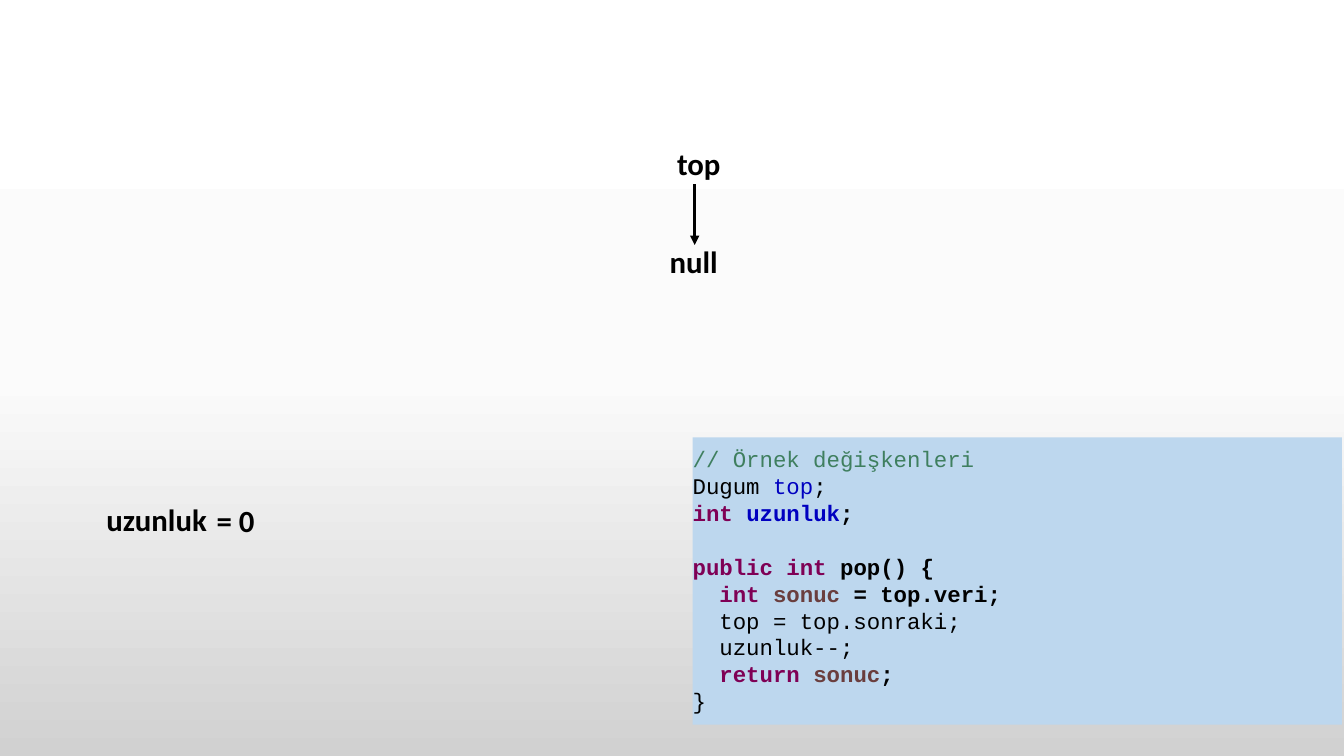
from copy import deepcopy
from dataclasses import dataclass

from lxml.etree import SubElement
from pptx import Presentation
from pptx.dml.color import RGBColor
from pptx.enum.shapes import MSO_CONNECTOR, MSO_SHAPE
from pptx.enum.text import MSO_ANCHOR, MSO_AUTO_SIZE, PP_ALIGN
from pptx.oxml.ns import qn
from pptx.util import Inches, Pt


@dataclass(frozen=True)
class Theme:
    label_font: str = "Calibri"
    code_font: str = "Courier New"
    label_size: int = 22
    code_size: int = 16
    arrow_width: float = 2.25
    black: str = "000000"
    comment: str = "3F7F5F"
    keyword: str = "7F0055"
    field: str = "0000C0"
    local: str = "6A3E3E"
    code_fill: str = "BDD7EE"
    background: tuple = ((0, "FFFFFF"), (0.5, "FBFBFB"), (1, "D1D1D1"))


class StackSlide:
    def __init__(self, page, theme):
        self.page = page
        self.theme = theme

    def background(self):
        fill = self.page.background.fill
        fill.gradient()
        fill.gradient_angle = 270
        stop_list = self.page._element.find(".//" + qn("a:gsLst"))
        stop_list.append(deepcopy(stop_list[-1]))
        for stop, (position, color) in zip(fill.gradient_stops, self.theme.background):
            stop.position = position
            stop.color.rgb = RGBColor.from_string(color)

    def style(self, span, font, size, color, bold):
        span.font.name = font
        span.font.size = Pt(size)
        span.font.bold = bold
        span.font.color.rgb = RGBColor.from_string(color)

    def label(self, text, left, top, width, align=PP_ALIGN.CENTER):
        box = self.page.shapes.add_textbox(
            Inches(left), Inches(top), Inches(width), Inches(0.47))
        frame = box.text_frame
        frame.word_wrap = False
        frame.auto_size = MSO_AUTO_SIZE.SHAPE_TO_FIT_TEXT
        frame.text = text
        para = frame.paragraphs[0]
        para.alignment = align
        self.style(para.runs[0], self.theme.label_font, self.theme.label_size,
                   self.theme.black, True)

    def down_arrow(self, x, top, bottom):
        arrow = self.page.shapes.add_connector(
            MSO_CONNECTOR.STRAIGHT, Inches(x), Inches(top), Inches(x), Inches(bottom))
        arrow.line.color.rgb = RGBColor.from_string(self.theme.black)
        arrow.line.width = Pt(self.theme.arrow_width)
        SubElement(arrow.line._get_or_add_ln(), qn("a:tailEnd"), type="triangle")
        SubElement(arrow._element.spPr, qn("a:effectLst"))

    def code(self, lines, left, top, width, height):
        """Draw a code panel; each line is a list of (text, color, bold)."""
        box = self.page.shapes.add_shape(
            MSO_SHAPE.RECTANGLE, Inches(left), Inches(top), Inches(width), Inches(height))
        box.shadow.inherit = False
        box.fill.solid()
        box.fill.fore_color.rgb = RGBColor.from_string(self.theme.code_fill)
        box.line.fill.background()
        frame = box.text_frame
        frame.word_wrap = True
        frame.auto_size = MSO_AUTO_SIZE.SHAPE_TO_FIT_TEXT
        frame.vertical_anchor = MSO_ANCHOR.TOP
        frame.margin_left = frame.margin_right = 0
        frame.margin_top = frame.margin_bottom = Inches(0.08)
        for index, line in enumerate(lines):
            para = frame.add_paragraph() if index else frame.paragraphs[0]
            para.alignment = PP_ALIGN.LEFT
            for text, color, bold in line:
                span = para.add_run()
                span.text = text
                self.style(span, self.theme.code_font, self.theme.code_size, color, bold)
            if not line:
                end = SubElement(para._p, qn("a:endParaRPr"),
                                 sz=str(self.theme.code_size * 100))
                SubElement(end, qn("a:latin"), typeface=self.theme.code_font)


def main():
    deck = Presentation()
    deck.slide_width, deck.slide_height = Inches(13.33), Inches(7.5)
    theme = Theme()
    slide = StackSlide(deck.slides.add_slide(deck.slide_layouts[6]), theme)
    slide.background()

    slide.label("uzunluk", 0.95, 4.92, 1.2, PP_ALIGN.RIGHT)
    slide.label("= 0", 2.05, 4.93, 0.58, PP_ALIGN.LEFT)
    slide.label("null", 6.54, 2.36, 0.68)
    slide.down_arrow(6.89, 1.83, 2.43)
    slide.label("top", 6.61, 1.39, 0.64)

    black, keyword = theme.black, theme.keyword
    slide.code([
        [("// Örnek değişkenleri", theme.comment, False)],
        [("Dugum ", black, False), ("top", theme.field, False), (";", black, False)],
        [("int ", keyword, True), ("uzunluk", theme.field, True), (";", black, True)],
        [],
        [("public int", keyword, True), (" pop() {", black, True)],
        [("  int ", keyword, True), ("sonuc", theme.local, True),
         (" = top.veri;", black, True)],
        [("  top = top.sonraki;", black, False)],
        [("  uzunluk--;", black, False)],
        [("  return ", keyword, True), ("sonuc", theme.local, True), (";", black, True)],
        [("}", black, False)],
    ], 6.87, 4.34, 6.44, 2.85)

    deck.save("out.pptx")


if __name__ == "__main__":
    main()
